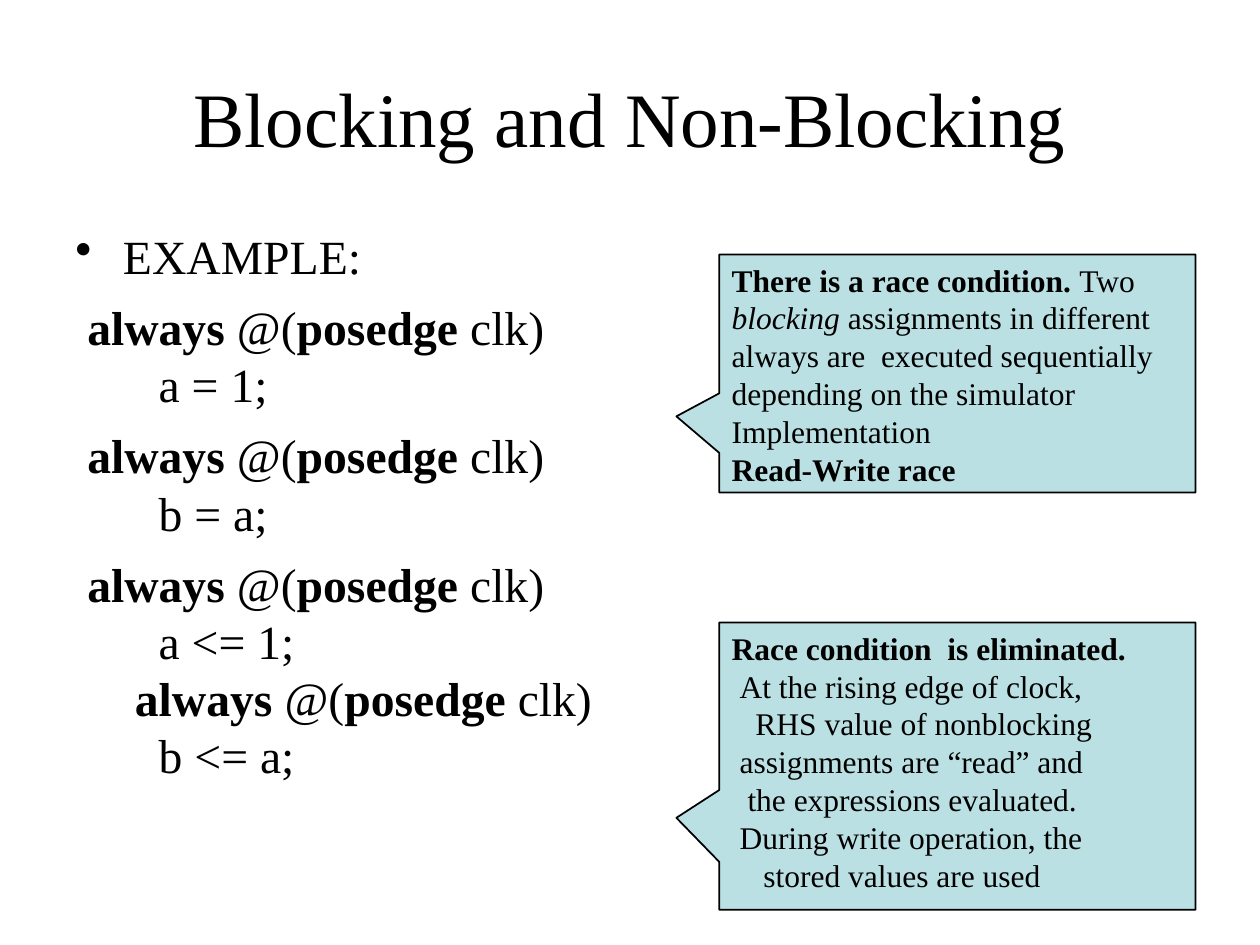
from lxml import etree
from pptx import Presentation
from pptx.dml.color import RGBColor
from pptx.enum.shapes import MSO_SHAPE
from pptx.enum.text import MSO_ANCHOR, PP_ALIGN
from pptx.oxml.ns import qn
from pptx.util import Cm, Pt

CALLOUT = MSO_SHAPE.RECTANGULAR_CALLOUT
CENTER, LEFT = PP_ALIGN.CENTER, PP_ALIGN.LEFT
TOP, MIDDLE = MSO_ANCHOR.TOP, MSO_ANCHOR.MIDDLE
COLORS = {"text": "000000", "callout": "BBE0E3", "outline": "000000"}
FONT = "Times New Roman"
SPACE_WIDTH = 0.16


def add_text(paragraph, text, size=18, bold=False, italic=False):
    run = paragraph.add_run()
    run.text = text
    run.font.name = FONT
    run.font.size = Pt(size)
    run.font.bold = bold
    run.font.italic = italic
    run.font.color.rgb = RGBColor.from_string(COLORS["text"])


def next_paragraph(frame, first):
    return frame.paragraphs[0] if first else frame.add_paragraph()


presentation = Presentation()
presentation.slide_width = Cm(25.4)
presentation.slide_height = Cm(19.05)
slide = presentation.slides.add_slide(presentation.slide_layouts[6])

title_box = slide.shapes.add_textbox(Cm(1.27), Cm(0.76), Cm(22.86), Cm(3.18))
title_frame = title_box.text_frame
title_frame.word_wrap = True
title_frame.vertical_anchor = MIDDLE
title_frame.paragraphs[0].alignment = CENTER
add_text(title_frame.paragraphs[0], "Blocking and Non-Blocking", size=44)

example_box = slide.shapes.add_textbox(Cm(1.27), Cm(4.45), Cm(12.22), Cm(12.57))
example_frame = example_box.text_frame
example_frame.word_wrap = True
code_blocks = [[], ["a = 1;"], ["b = a;"], ["a <= 1;", "b <= a;"]]
for index, statements in enumerate(code_blocks):
    paragraph = next_paragraph(example_frame, index == 0)
    properties = paragraph._p.get_or_add_pPr()
    properties.set("marL", str(Cm(0.96)))
    properties.set("indent", str(Cm(-0.96)))
    if index == 0:
        etree.SubElement(properties, qn("a:buChar"), char="•")
        add_text(paragraph, "EXAMPLE:", size=27.2)
    else:
        paragraph.space_before = Pt(8)
    for position, statement in enumerate(statements):
        if position:
            paragraph.add_line_break()
        for text, bold in ((" always", True), (" @(", False),
                           ("posedge", True), (" clk)", False)):
            add_text(paragraph, text, size=27.2, bold=bold)
        paragraph.add_line_break()
        add_text(paragraph, "   " + statement, size=27.2)

race_lines = [
    (0, [("There is a race condition. ", {"bold": True}), ("Two", {})]),
    (0, [("blocking ", {"italic": True}), ("assignments in different", {})]),
    (0, [("always are  executed sequentially", {})]),
    (0, [("depending on the simulator", {})]),
    (0, [("Implementation", {})]),
    (0, [("Read-Write race", {"bold": True})]),
]
eliminated_lines = [
    (0, [("Race condition  is eliminated.", {"bold": True})]),
    (1, [("At the rising edge of clock,", {})]),
    (3, [("RHS value of nonblocking", {})]),
    (1, [("assignments are “read” and", {})]),
    (2, [("the expressions evaluated.", {})]),
    (1, [("During write operation, the", {})]),
    (4, [("stored values are used", {})]),
]
for top, height, lines in ((5.13, 4.8, race_lines), (12.55, 5.79, eliminated_lines)):
    callout = slide.shapes.add_shape(CALLOUT, Cm(14.5), Cm(top), Cm(9.6), Cm(height))
    callout.shadow.inherit = False
    callout.adjustments[0] = -0.59
    callout.adjustments[1] = 0.18
    callout.fill.solid()
    callout.fill.fore_color.rgb = RGBColor.from_string(COLORS["callout"])
    callout.line.color.rgb = RGBColor.from_string(COLORS["outline"])
    callout.line.width = Pt(1)
    frame = callout.text_frame
    frame.word_wrap = False
    frame.vertical_anchor = TOP
    for index, (spaces, segments) in enumerate(lines):
        paragraph = next_paragraph(frame, index == 0)
        paragraph.alignment = LEFT
        paragraph._p.get_or_add_pPr().set("marL", str(Cm(spaces * SPACE_WIDTH)))
        for text, style in segments:
            add_text(paragraph, text, **style)

presentation.save("out.pptx")
